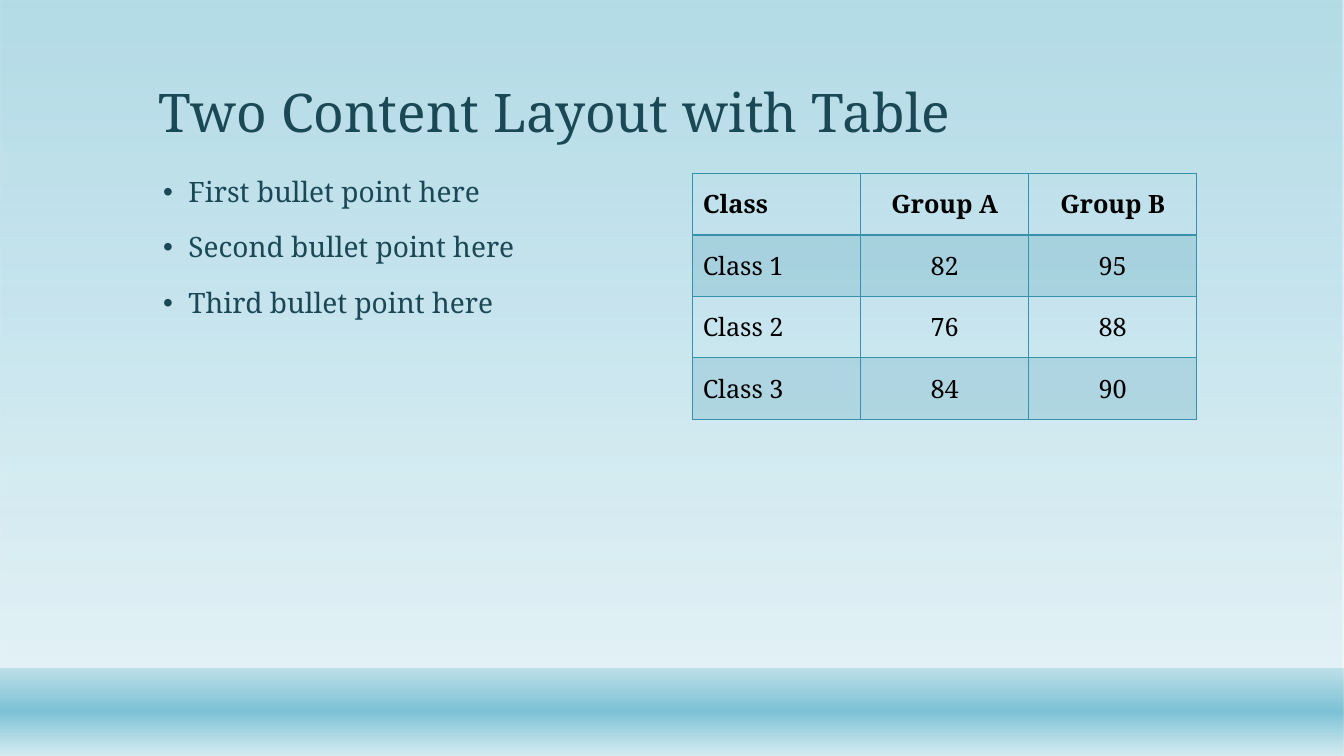
from lxml.etree import SubElement
from pptx import Presentation
from pptx.dml.color import RGBColor
from pptx.enum.shapes import MSO_SHAPE
from pptx.enum.text import MSO_ANCHOR as ANCHOR, PP_ALIGN as ALIGN
from pptx.oxml import parse_xml
from pptx.oxml.ns import nsdecls, qn
from pptx.util import Inches, Pt

# Content
TITLE = "Two Content Layout with Table"
BULLETS = ["First bullet point here", "Second bullet point here", "Third bullet point here"]
SCORES = [
    ("Class", "Group A", "Group B"),
    ("Class 1", "82", "95"),
    ("Class 2", "76", "88"),
    ("Class 3", "84", "90"),
]

# Format
WIDTH, HEIGHT = 13.33, 7.5
LEFT, TABLE_LEFT, BODY_TOP, COLUMN_WIDTH = 1.47, 6.87, 1.72, 5
ROW_HEIGHT = 0.61
INK, BLACK, TEAL = "1B4855", "000000", "3691AA"
# Bands: top, height, gradient stops of (position, colour, opacity) in percent
BANDS = [
    (0, HEIGHT, [(0, "7DC2D6", 58), (88, "D4EBF1", 65)]),
    (6.63, 0.87, [(1, "7DC2D6", 38), (49, "7DC2D6", 100), (100, "D4EBF1", 89)]),
]


def color(value):
    return RGBColor.from_string(value)


def write(paragraph, text, size, ink, bold=False, **layout):
    run = paragraph.add_run()
    run.text = text
    for key, value in {"name": "Noto Serif", "size": Pt(size), "bold": bold}.items():
        setattr(run.font, key, value)
    run.font.color.rgb = color(ink)
    for key, value in layout.items():
        setattr(paragraph, key, value)


def add_frame(left, top, width, height, anchor):
    frame = slide.shapes.add_textbox(*map(Inches, (left, top, width, height))).text_frame
    frame.word_wrap = True
    frame.vertical_anchor = anchor
    return frame


def add_band(top, height, stops):
    band = slide.shapes.add_shape(
        MSO_SHAPE.RECTANGLE, 0, Inches(top), Inches(WIDTH), Inches(height))
    band.shadow.inherit = False
    band.line.fill.background()
    band.fill.gradient()
    gradient = band.fill._fill._gradFill
    gradient.getparent().replace(gradient, parse_xml(
        f'<a:gradFill {nsdecls("a")} rotWithShape="1"><a:gsLst>'
        + "".join(f'<a:gs pos="{pos * 1000}"><a:srgbClr val="{hue}">'
                  f'<a:alpha val="{opacity * 1000}"/></a:srgbClr></a:gs>'
                  for pos, hue, opacity in stops)
        + '</a:gsLst><a:lin ang="5400000" scaled="0"/></a:gradFill>'))


def set_borders(cell, widths):
    for side, width in widths.items():
        cell._tc.get_or_add_tcPr().append(parse_xml(
            f'<a:ln{side} {nsdecls("a")} w="{Pt(width)}"><a:solidFill>'
            f'<a:srgbClr val="{TEAL}"/></a:solidFill></a:ln{side}>'))


prs = Presentation()
prs.slide_width, prs.slide_height = Inches(WIDTH), Inches(HEIGHT)
slide = prs.slides.add_slide(prs.slide_layouts[6])

# Background bands
for band_spec in BANDS:
    add_band(*band_spec)

# Title
title = add_frame(LEFT, 0.29, 10.4, 1.19, ANCHOR.BOTTOM)
write(title.paragraphs[0], TITLE, 38, INK, line_spacing=0.9)

# Bullets
body = add_frame(LEFT, BODY_TOP, COLUMN_WIDTH, 4.53, ANCHOR.TOP)
for i, bullet in enumerate(BULLETS):
    point = body.add_paragraph() if i else body.paragraphs[0]
    write(point, bullet, 20, INK, line_spacing=0.9, space_before=Pt(18))
    properties = point._p.get_or_add_pPr()
    properties.set("marL", str(Inches(0.3)))
    properties.set("indent", str(Inches(-0.25)))
    SubElement(properties, qn("a:buFont"), typeface="Arial")
    SubElement(properties, qn("a:buChar"), char="•")

# Score table
rows, columns = len(SCORES), len(SCORES[0])
table = slide.shapes.add_table(
    rows, columns, Inches(TABLE_LEFT), Inches(BODY_TOP),
    Inches(COLUMN_WIDTH), Inches(ROW_HEIGHT * rows)).table
table.first_row = table.horz_banding = False
for r, row in enumerate(SCORES):
    table.rows[r].height = Inches(ROW_HEIGHT)
    for c, value in enumerate(row):
        cell = table.cell(r, c)
        cell.vertical_anchor = ANCHOR.MIDDLE
        write(cell.text_frame.paragraphs[0], value, 18, BLACK, bold=r == 0,
              alignment=ALIGN.CENTER if c else ALIGN.LEFT)
        set_borders(cell, {"L": 1, "R": 1, "T": 2 if r == 1 else 1, "B": 1 if r else 2})
        if r % 2:
            cell.fill.solid()
            cell.fill.fore_color.rgb = color(TEAL)
            tint = cell._tc.tcPr.find(qn("a:solidFill")).find(qn("a:srgbClr"))
            SubElement(tint, qn("a:alpha"), val="20000")
        else:
            cell.fill.background()

prs.save("out.pptx")
